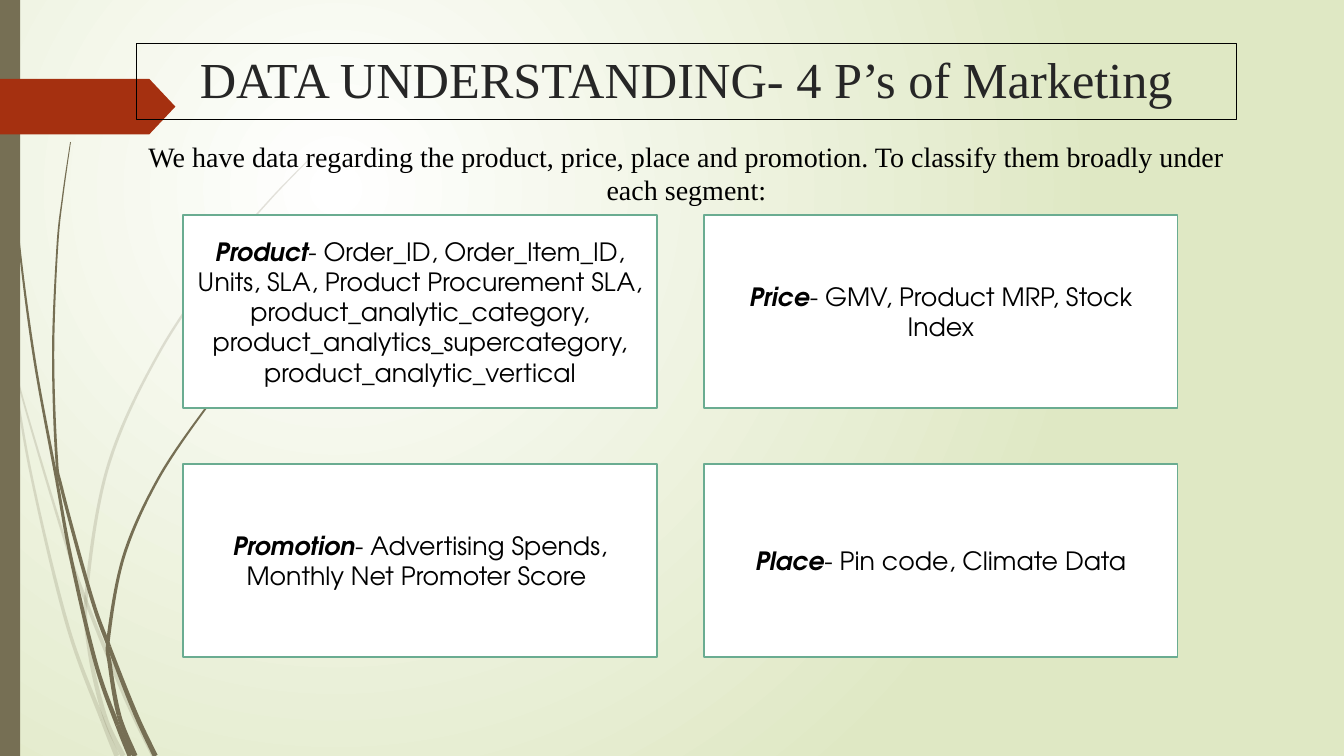
from itertools import pairwise
from math import hypot

from lxml.etree import SubElement
from pptx import Presentation
from pptx.dml.color import RGBColor
from pptx.enum.shapes import MSO_SHAPE
from pptx.enum.text import MSO_ANCHOR, MSO_AUTO_SIZE, PP_ALIGN
from pptx.oxml.ns import qn
from pptx.util import Pt

COLORS = {
    "white": "FFFFFF", "mist": "DFE8C4", "olive": "766F54", "rust": "A53010",
    "title": "262626", "text": "000000", "border": "6AAC91",
}
SERIF = "Times New Roman"
SANS = "TeX Gyre Adventor"

PALE_STEMS = [
    ([(0, 209), (7, 249), (22, 338), (48, 446), (73, 514), (83.5, 540)],
     (0, 1, 4, 5)),
    ([(10, 248), (12.5, 271), (43, 375), (60.5, 427), (90, 499), (110, 540)],
     (0, 3, 5)),
    ([(224.6, 110), (193, 142.5), (165, 176.4), (114.5, 250.5), (77.5, 332),
      (62, 421), (64, 465), (75, 512), (88, 540)], (0, 5, 7, 8)),
]
DARK_STEMS = [
    ([(2.5, 0), (5.4, 79), (13, 168), (24.5, 256), (40.5, 343), (51, 400),
      (68.5, 474), (84, 518), (93, 540)], (0, 4, 7, 8)),
    ([(50.4, 101.5), (45, 139), (41, 176), (38, 251), (40.3, 325), (44.6, 351),
      (65, 425.5), (78, 462), (96.5, 509), (111, 540)], (0, 4, 7, 9)),
    ([(187.2, 247.7), (166.3, 269), (147, 291.6), (113, 342), (88.5, 397),
      (77.5, 455), (78.5, 475), (85, 511), (96.5, 540)], (0, 5, 7, 8)),
]
SEGMENTS = [
    ("Product", "Order_ID, Order_Item_ID, Units, SLA, Product Procurement SLA, "
     "product_analytic_category, product_analytics_supercategory, "
     "product_analytic_vertical"),
    ("Price", "GMV, Product MRP, Stock Index"),
    ("Promotion", "Advertising Spends, Monthly Net Promoter Score "),
    ("Place", "Pin code, Climate Data"),
]


def color(name):
    """Return the named colour."""
    return RGBColor.from_string(COLORS[name])


def paint(shape, fill, line=None):
    """Give a shape a flat fill and an optional outline."""
    shape.shadow.inherit = False
    shape.fill.solid()
    shape.fill.fore_color.rgb = color(fill)
    if line:
        shape.line.color.rgb = color(line)
        shape.line.width = Pt(1.25)
    else:
        shape.line.fill.background()


def style(span, font, size, ink, strong=False):
    """Format one run of text."""
    span.font.name = font
    span.font.size = Pt(size)
    span.font.color.rgb = color(ink)
    span.font.bold = span.font.italic = strong


def add_background(page):
    """Fill the slide with a radial gradient."""
    fill = page.background.fill
    fill.gradient()
    for stop, name in zip(fill.gradient_stops, ("white", "mist")):
        stop.color.rgb = color(name)
    gradient = page._element.find(".//" + qn("a:gradFill"))
    gradient.remove(gradient.find(qn("a:lin")))
    radial = SubElement(gradient, qn("a:path"), {"path": "circle"})
    SubElement(radial, qn("a:fillToRect"),
               {"l": "50000", "t": "50000", "r": "100000", "b": "100000"})


def stem_frame(points, tip=0.6, root=3.6):
    """Return each point with its tangent and its half-width offset."""
    last = len(points) - 1
    frame = []
    for index, (x, y) in enumerate(points):
        before, after = points[max(index - 1, 0)], points[min(index + 1, last)]
        dx, dy = after[0] - before[0], after[1] - before[1]
        half = (tip + (root - tip) * index / last) / 2 / hypot(dx, dy)
        frame.append(((x, y), (dx / 6, dy / 6), (-dy * half, dx * half)))
    return frame


def add_blade(page, frame, alpha):
    """Draw one curved piece of a stem."""
    knots = [(x + u, y + v, dx, dy) for (x, y), (dx, dy), (u, v) in frame]
    knots += [(x - u, y - v, -dx, -dy)
              for (x, y), (dx, dy), (u, v) in reversed(frame)]
    outline = [(Pt(x), Pt(y)) for x, y, _, _ in knots]
    builder = page.shapes.build_freeform(*outline[0])
    builder.add_line_segments(outline[1:], close=True)
    blade = builder.convert_to_shape()
    paint(blade, "olive")
    edges = blade._element.findall(".//" + qn("a:lnTo"))
    for number, (start, end) in enumerate(pairwise(knots)):
        if number == len(frame) - 1:
            continue
        edge = edges[number]
        curve = edge.makeelement(qn("a:cubicBezTo"))
        for x, y in ((start[0] + start[2], start[1] + start[3]),
                     (end[0] - end[2], end[1] - end[3]), end[:2]):
            SubElement(curve, qn("a:pt"), {"x": str(Pt(x) - blade.left),
                                           "y": str(Pt(y) - blade.top)})
        edge.getparent().replace(edge, curve)
    if alpha < 100:
        ink = blade._element.spPr.find(".//" + qn("a:srgbClr"))
        SubElement(ink, qn("a:alpha"), {"val": str(alpha * 1000)})


def add_decoration(page, box):
    """Draw the stems, the side bar and the arrow tab."""
    left, top, width, height = box
    for stems, alpha in ((PALE_STEMS, 20), (DARK_STEMS, 100)):
        for points, joints in stems:
            frame = stem_frame([(left + x, top + y) for x, y in points])
            for first, last in pairwise(joints):
                add_blade(page, frame[first:last + 1], alpha)
    bar = page.shapes.add_shape(
        MSO_SHAPE.RECTANGLE, Pt(left), Pt(top), Pt(width), Pt(height))
    paint(bar, "olive")
    tab = page.shapes.add_shape(
        MSO_SHAPE.PENTAGON, Pt(left), Pt(top + 56.3), Pt(125.3), Pt(39.7))
    tab.adjustments[0] = 0.47
    paint(tab, "rust")


def add_heading(page, box, text):
    """Place the outlined title in front of the decoration."""
    title = page.shapes.title
    title.left, title.top, title.width, title.height = map(Pt, box)
    title.line.color.rgb = color("text")
    title.line.width = Pt(0.75)
    frame = title.text_frame
    frame.text = text
    frame.auto_size = MSO_AUTO_SIZE.NONE
    frame.vertical_anchor = MSO_ANCHOR.TOP
    para = frame.paragraphs[0]
    para.alignment = PP_ALIGN.CENTER
    style(para.runs[0], SERIF, 36, "title")
    page.shapes._spTree.append(title._element)


def add_intro(page, box, text):
    """Place the centred sentence below the title."""
    frame = page.shapes.add_textbox(*map(Pt, box)).text_frame
    frame.word_wrap = True
    frame.text = text
    para = frame.paragraphs[0]
    para.alignment = PP_ALIGN.CENTER
    style(para.runs[0], SERIF, 20, "text")


def add_segments(page, box, columns=2, gap_x=33.6, gap_y=39.6):
    """Lay out the segment cards in a grid filling the box."""
    left, top, width, height = box
    rows = len(SEGMENTS) // columns
    card_width = (width - gap_x * (columns - 1)) / columns
    card_height = (height - gap_y * (rows - 1)) / rows
    for index, (name, fields) in enumerate(SEGMENTS):
        row, column = divmod(index, columns)
        card = page.shapes.add_shape(
            MSO_SHAPE.RECTANGLE,
            Pt(left + column * (card_width + gap_x)),
            Pt(top + row * (card_height + gap_y)),
            Pt(card_width), Pt(card_height))
        paint(card, "white", "border")
        frame = card.text_frame
        frame.word_wrap = True
        frame.vertical_anchor = MSO_ANCHOR.MIDDLE
        para = frame.paragraphs[0]
        para.alignment = PP_ALIGN.CENTER
        for text, strong in ((name, True), (f"- {fields}", False)):
            span = para.add_run()
            span.text = text
            style(span, SANS, 18, "text", strong)


def build_slide(deck):
    """Build the marketing segments slide."""
    page = deck.slides.add_slide(deck.slide_layouts.get_by_name("Title Only"))
    add_background(page)
    add_decoration(page, (0, 0, 14.4, 540))
    add_heading(page, (97.2, 31, 786.2, 54.3), "DATA UNDERSTANDING- 4 P’s of Marketing")
    add_intro(page, (97.2, 95.8, 786.2, 104.4),
              "We have data regarding the product, price, place and promotion. "
              "To classify them broadly under each segment:")
    add_segments(page, (130.8, 153.4, 710.4, 316))


deck = Presentation()
deck.slide_width, deck.slide_height = Pt(960), Pt(540)
build_slide(deck)
deck.save("out.pptx")
